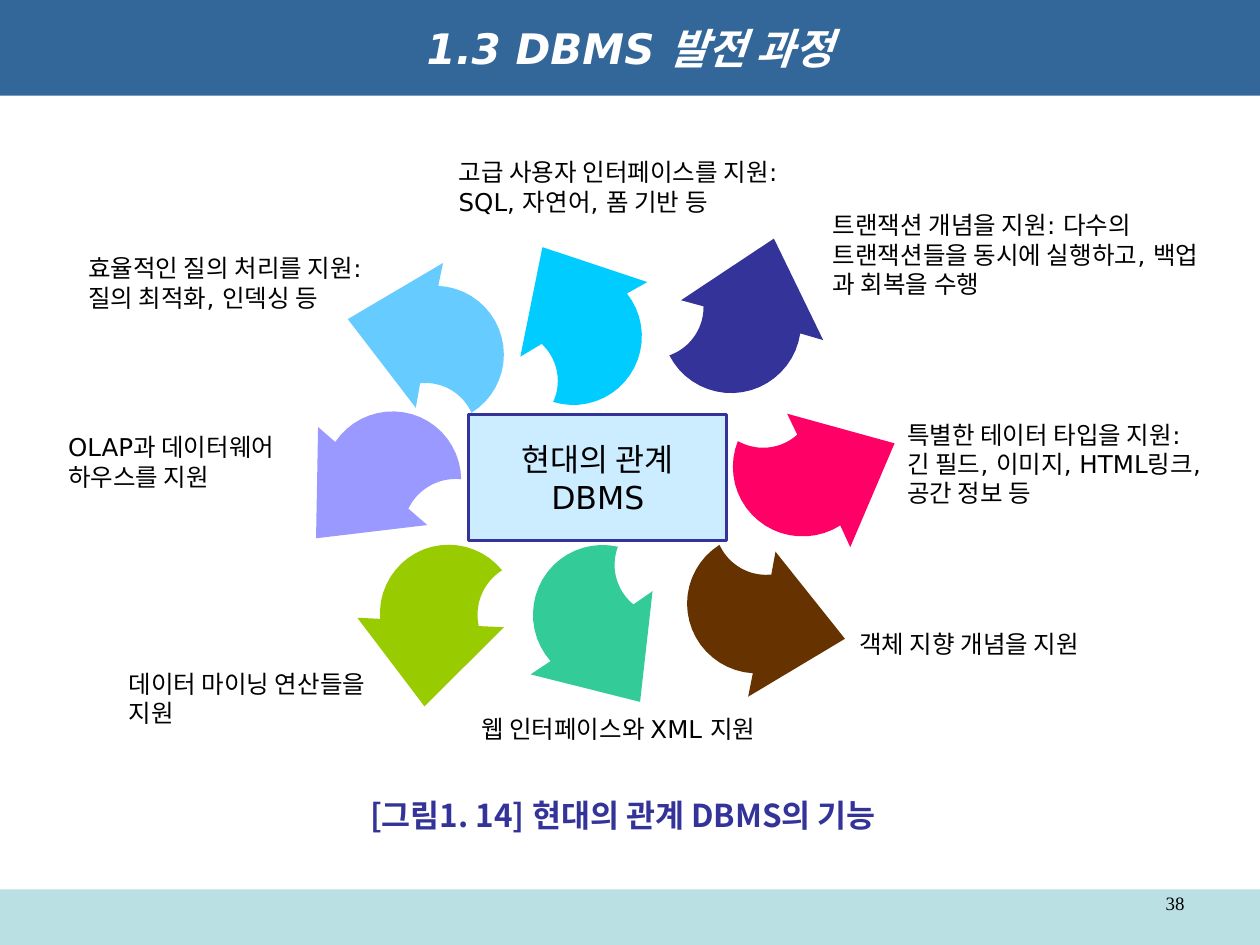
import math
from dataclasses import dataclass

from pptx import Presentation
from pptx.dml.color import RGBColor
from pptx.enum.shapes import MSO_SHAPE
from pptx.enum.text import MSO_ANCHOR, MSO_AUTO_SIZE, PP_ALIGN
from pptx.util import Pt

RECTANGLE = MSO_SHAPE.RECTANGLE
TOP, MIDDLE = MSO_ANCHOR.TOP, MSO_ANCHOR.MIDDLE
LEFT, CENTER, RIGHT = PP_ALIGN.LEFT, PP_ALIGN.CENTER, PP_ALIGN.RIGHT
GROW, FIXED = MSO_AUTO_SIZE.SHAPE_TO_FIT_TEXT, MSO_AUTO_SIZE.NONE

COLORS = {
    "header": "336699", "footer": "BBE0E3", "white": "FFFFFF", "black": "000000",
    "core": "CCECFF", "navy": "333399", "cyan": "00CCFF", "lilac": "9999FF",
    "teal": "33CC99", "sky": "66CCFF", "lime": "99CC00", "brown": "663300",
    "pink": "FF0066",
}
BODY_FONT = "DejaVu Sans"
ARC_STEPS = 20

Point = tuple[float, float]


@dataclass(frozen=True)
class Outline:
    width: float
    height: float
    head: list[Point]
    inner_mid: Point
    tail: Point
    outer_mid: Point


@dataclass(frozen=True)
class Arrow:
    outline: Outline
    left: float
    top: float
    rotation: float
    color: str


@dataclass(frozen=True)
class Label:
    left: float
    top: float
    width: float
    height: float
    lines: list[str]


UPWARD = Outline(72, 82, [(54.4, 9.9), (63.4, 0), (0, 0), (7.8, 63.4), (17.1, 52.6)],
                 (30.1, 64.3), (33.9, 82), (72, 47.2))
DOWNWARD = Outline(85.7, 90, [(12.8, 37.2), (0, 34.8), (31.1, 90), (82.2, 51.6), (68.1, 49)],
                   (72.1, 31.6), (85.7, 19.4), (49.8, 0.5))
SIDEWAYS = Outline(93.6, 80, [(57.4, 67), (61.6, 80), (93.6, 24.1), (34.9, 0), (39.2, 12.6)],
                   (22.6, 17.9), (5.2, 12.2), (6.8, 52.9))

ARROWS = [
    Arrow(UPWARD, 295.2, 150.5, 18.4, "cyan"),
    Arrow(DOWNWARD, 170.6, 229.7, 30.3, "lilac"),
    Arrow(SIDEWAYS, 290.9, 320.4, 74.2, "teal"),
    Arrow(UPWARD, 214.6, 158.4, 329.5, "sky"),
    Arrow(DOWNWARD, 205.2, 312.5, 352.1, "lime"),
    Arrow(SIDEWAYS, 382.3, 144, 304.2, "navy"),
    Arrow(SIDEWAYS, 387.4, 316.1, 29.2, "brown"),
    Arrow(SIDEWAYS, 419.8, 234.7, 353.2, "pink"),
]

LABELS = [
    Label(250.6, 86.4, 218.9, 41, ["고급 사용자 인터페이스를 지원:", "SQL, 자연어, 폼 기반 등"]),
    Label(38.9, 141.1, 192.2, 41, ["효율적인 질의 처리를 지원:", "질의 최적화, 인덱싱 등"]),
    Label(27.4, 243.4, 147.6, 41, ["OLAP과 데이터웨어", "하우스를 지원"]),
    Label(61.9, 378.7, 167, 41, ["데이터 마이닝 연산들을", "지원"]),
    Label(263.5, 404.6, 192.2, 24.5, ["웹 인터페이스와 XML 지원"]),
    Label(479.5, 355.7, 157.7, 24.5, ["객체 지향 개념을 지원"]),
    Label(506.9, 236.2, 209.5, 57.6,
          ["특별한 테이터 타입을 지원:", "긴 필드, 이미지, HTML링크,", "공간 정보 등"]),
    Label(464.4, 116.6, 249.1, 57.6,
          ["트랜잭션 개념을 지원: 다수의", "트랜잭션들을 동시에 실행하고, 백업", "과 회복을 수행"]),
]


def rgb(color: str) -> RGBColor:
    return RGBColor.from_string(COLORS[color])


def write_text(shape, lines: list[str], *, size: float, color: str = "black",
               font: str = BODY_FONT, bold: bool = False, italic: bool = False,
               align=LEFT, anchor=TOP, side: float = 7.2, wrap: bool = True,
               fit=FIXED, spacing: float | None = None) -> None:
    frame = shape.text_frame
    frame.word_wrap = wrap
    frame.auto_size = fit
    frame.vertical_anchor = anchor
    frame.margin_left = frame.margin_right = Pt(side)
    frame.margin_top = frame.margin_bottom = Pt(3.6)
    for index, line in enumerate(lines):
        paragraph = frame.add_paragraph() if index else frame.paragraphs[0]
        paragraph.alignment = align
        paragraph.line_spacing = spacing
        run = paragraph.add_run()
        run.text = line
        run.font.name = font
        run.font.size = Pt(size)
        run.font.bold = bold
        run.font.italic = italic
        run.font.color.rgb = rgb(color)


def add_text_box(slide, left: float, top: float, width: float, height: float):
    return slide.shapes.add_textbox(Pt(left), Pt(top), Pt(width), Pt(height))


def paint(shape, color: str) -> None:
    shape.shadow.inherit = False
    shape.fill.solid()
    shape.fill.fore_color.rgb = rgb(color)
    shape.line.fill.background()


def add_block(slide, left: float, top: float, width: float, height: float, color: str):
    block = slide.shapes.add_shape(RECTANGLE, Pt(left), Pt(top), Pt(width), Pt(height))
    paint(block, color)
    return block


def arc(start: Point, mid: Point, end: Point) -> list[Point]:
    (ax, ay), (bx, by), (cx, cy) = start, mid, end
    a2, b2, c2 = ax**2 + ay**2, bx**2 + by**2, cx**2 + cy**2
    scale = 2 * (ax * (by - cy) + bx * (cy - ay) + cx * (ay - by))
    x = (a2 * (by - cy) + b2 * (cy - ay) + c2 * (ay - by)) / scale
    y = (a2 * (cx - bx) + b2 * (ax - cx) + c2 * (bx - ax)) / scale
    radius = math.hypot(ax - x, ay - y)
    first, via, last = (math.atan2(py - y, px - x) for px, py in (start, mid, end))
    sweep = (last - first) % math.tau
    if (via - first) % math.tau > sweep:
        sweep -= math.tau
    angles = [first + sweep * step / ARC_STEPS for step in range(1, ARC_STEPS + 1)]
    return [(x + radius * math.cos(angle), y + radius * math.sin(angle)) for angle in angles]


def add_arrow(slide, arrow: Arrow) -> None:
    outline = arrow.outline
    inner = arc(outline.head[-1], outline.inner_mid, outline.tail)
    outer = arc(outline.tail, outline.outer_mid, outline.head[0])
    start, *rest = [(Pt(x), Pt(y)) for x, y in outline.head + inner + outer]
    builder = slide.shapes.build_freeform(*start)
    builder.add_line_segments(rest, close=True)
    shape = builder.convert_to_shape(Pt(arrow.left), Pt(arrow.top))
    shape.left, shape.top = Pt(arrow.left), Pt(arrow.top)
    shape.width, shape.height = Pt(outline.width), Pt(outline.height)
    shape.rotation = arrow.rotation
    paint(shape, arrow.color)


def add_label(slide, label: Label) -> None:
    box = add_text_box(slide, label.left, label.top, label.width, label.height)
    write_text(box, label.lines, size=14, side=11.5, wrap=False, fit=GROW)


def main() -> None:
    deck = Presentation()
    deck.slide_width, deck.slide_height = Pt(720), Pt(540)
    slide = deck.slides.add_slide(deck.slide_layouts[6])

    add_block(slide, 0, 508.3, 720, 31.7, "footer")
    page_number = add_text_box(slide, 516.2, 508.3, 167.8, 20.9)
    write_text(page_number, ["38"], size=10.8, font="Times New Roman", align=RIGHT, spacing=0.8)
    header = add_block(slide, 0, 0, 720, 54.7, "header")
    write_text(header, ["1.3 DBMS 발전 과정"], size=24, color="white", bold=True,
               italic=True, align=CENTER, anchor=MIDDLE)

    for arrow in ARROWS:
        add_arrow(slide, arrow)

    core = add_block(slide, 267.8, 236.9, 147.6, 72, "core")
    core.line.color.rgb = rgb("navy")
    core.line.width = Pt(1.75)
    write_text(core, ["현대의 관계", "DBMS"], size=18, align=CENTER, anchor=MIDDLE,
               side=11.5, wrap=False)

    for label in LABELS:
        add_label(slide, label)

    caption = add_text_box(slide, 169.9, 451.4, 372.2, 28.8)
    write_text(caption, ["[그림1. 14] 현대의 관계 DBMS의 기능"], size=18, color="navy",
               font="Noto Sans CJK KR", bold=True, align=CENTER, fit=GROW)

    deck.save("out.pptx")


if __name__ == "__main__":
    main()
